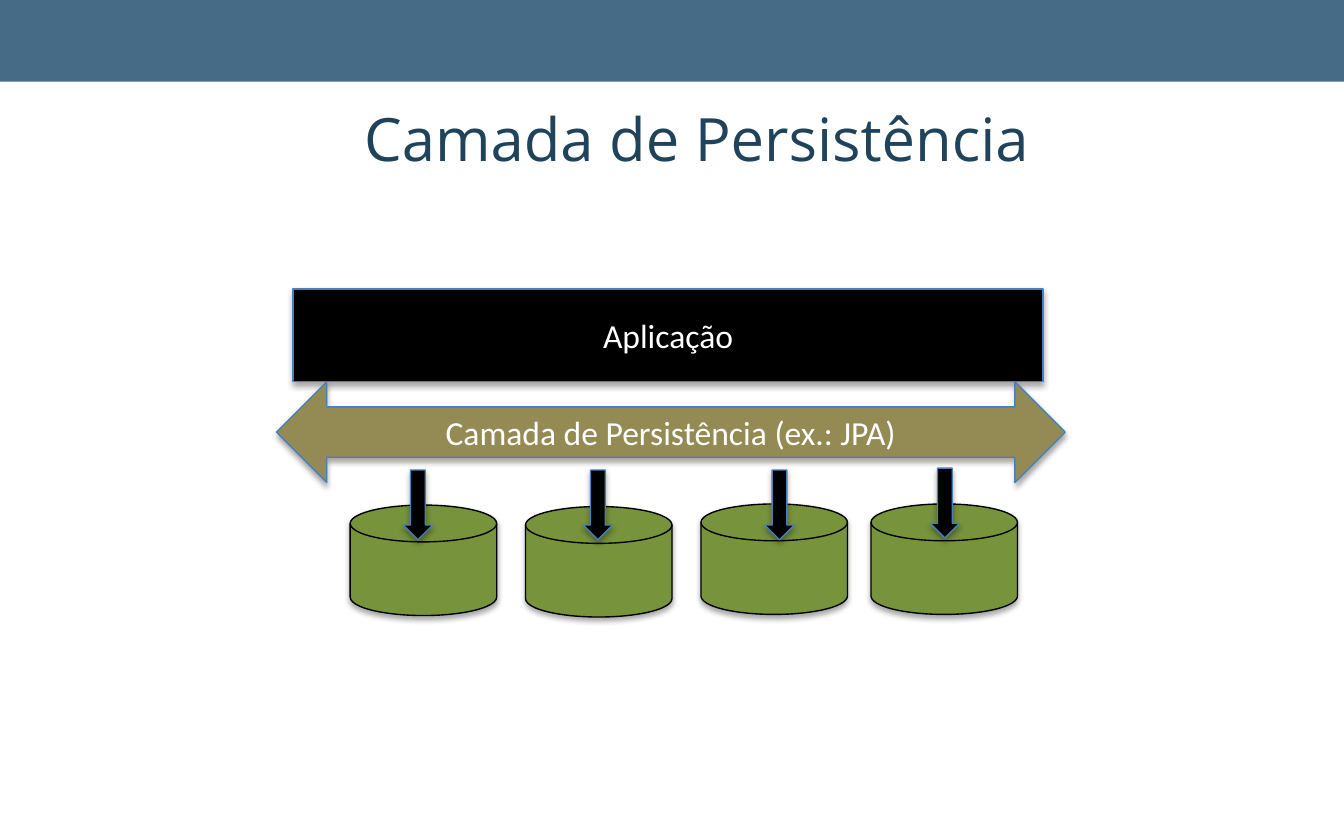
from lxml import etree
from pptx import Presentation
from pptx.dml.color import RGBColor
from pptx.enum.shapes import MSO_SHAPE as SHAPE
from pptx.enum.text import MSO_ANCHOR as ANCHOR, MSO_AUTO_SIZE as AUTO_SIZE, PP_ALIGN as ALIGN
from pptx.oxml import parse_xml
from pptx.oxml.ns import nsdecls, qn
from pptx.util import Pt

BLACK = RGBColor(0x00, 0x00, 0x00)
WHITE = RGBColor(0xFF, 0xFF, 0xFF)
NAVY = RGBColor(0x1E, 0x43, 0x5B)
BAND = RGBColor(0x17, 0x47, 0x6A)
BLUE = RGBColor(0x4B, 0x7E, 0xBC)
OLIVE = RGBColor(0x94, 0x8A, 0x54)
GREEN = RGBColor(0x77, 0x93, 0x3C)

SHADOW = (
    f'<a:effectLst {nsdecls("a")}>'
    f'<a:outerShdw blurRad="{Pt(3.1)}" dist="{Pt(1.8)}" dir="5400000" rotWithShape="0">'
    '<a:srgbClr val="000000"><a:alpha val="35000"/></a:srgbClr>'
    '</a:outerShdw></a:effectLst>'
)


def write(sp, text, font):
    """Write one centred line with the given font values."""
    p = sp.text_frame.paragraphs[0]
    p.alignment = ALIGN.CENTER
    r = p.add_run()
    r.text = text
    r.font.color.rgb = font["color"]
    for name in ("name", "size"):
        setattr(r.font, name, font[name])
    return p


def add_block(s, kind, box, fill, line):
    """Add a filled, outlined shape with a soft shadow below it."""
    sp = s.shapes.add_shape(kind, *map(Pt, box))
    sp.fill.solid()
    sp.fill.fore_color.rgb = fill
    sp.line.color.rgb = line
    sp.line.width = Pt(0.75)
    sp.shadow.inherit = False
    effects = sp._element.spPr.find(qn("a:effectLst"))
    effects.getparent().replace(effects, parse_xml(SHADOW))
    return sp


prs = Presentation()
prs.slide_width, prs.slide_height = Pt(720), Pt(450)
s = prs.slides.add_slide(prs.slide_layouts[6])

# Title
title = s.shapes.add_textbox(Pt(59.8), Pt(51.1), Pt(591), Pt(46))
tf = title.text_frame
for name, value in {"word_wrap": True, "auto_size": AUTO_SIZE.SHAPE_TO_FIT_TEXT}.items():
    setattr(tf, name, value)
p = write(title, "Camada de Persistência",
          {"name": "Open Sans", "size": Pt(32), "color": NAVY})
p.level = 1
p._p.get_or_add_pPr().set("marL", str(Pt(36)))
p._p.get_or_add_pPr().set("indent", "0")

# Translucent header band
band = s.shapes.add_shape(SHAPE.RECTANGLE, Pt(-25.2), Pt(-6.5), Pt(761.8), Pt(50.2))
band.fill.solid()
band.fill.fore_color.rgb = BAND
band.line.fill.background()
band.shadow.inherit = False
color = band._element.spPr.find(qn("a:solidFill"))[0]
etree.SubElement(color, qn("a:alpha")).set("val", "80000")

# Application and persistence layers
layers = [
    (SHAPE.RECTANGLE, (157, 154.8, 401.8, 49.7), BLACK, "Aplicação"),
    (SHAPE.LEFT_RIGHT_ARROW, (148.1, 204.5, 422.6, 54), OLIVE,
     "Camada de Persistência (ex.: JPA)"),
]
for kind, box, fill, text in layers:
    layer = add_block(s, kind, box, fill, BLUE)
    layer.text_frame.vertical_anchor = ANCHOR.MIDDLE
    write(layer, text, {"name": "Calibri", "size": Pt(18), "color": WHITE})

# Databases, then the arrows pointing into them
for left, top in [(466.6, 270), (187.6, 270.6), (281.5, 271.4), (375.5, 270)]:
    add_block(s, SHAPE.FLOWCHART_MAGNETIC_DISK, (left, top, 78.5, 59.2), GREEN, BLACK)
for left, top in [(216, 251.8), (312.4, 251.8), (409.7, 251.8), (498.3, 250.8)]:
    add_block(s, SHAPE.DOWN_ARROW, (left, top, 15.8, 37.4), BLACK, BLUE)

prs.save("out.pptx")
